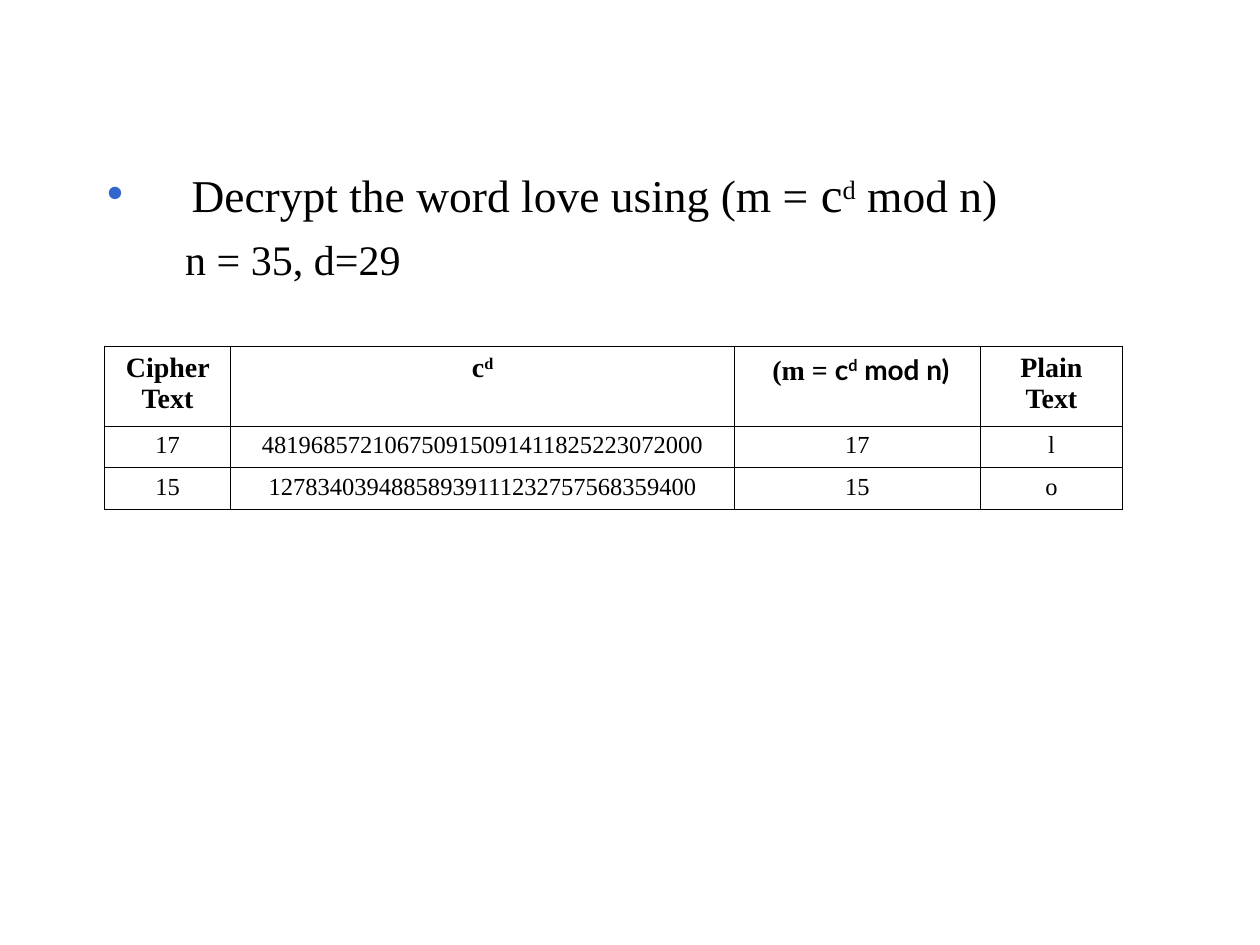
from lxml.etree import SubElement
from pptx import Presentation
from pptx.dml.color import RGBColor
from pptx.enum.text import MSO_ANCHOR, MSO_AUTO_SIZE, PP_ALIGN
from pptx.oxml.ns import qn
from pptx.util import Inches, Pt

COLORS = {"text": "000000", "bullet": "3366CC", "border": "000000"}
SERIF = "Times New Roman"


def add_text(p, text, size, font=SERIF, bold=False, superscript=False):
    r = p.add_run()
    r.text = text
    r.font.size = Pt(size)
    r.font.name = font
    r.font.bold = bold
    r.font.color.rgb = RGBColor.from_string(COLORS["text"])
    if superscript:
        r.font._element.set("baseline", "30000")


def set_border(cell, side, width):
    """Draw one side of a cell: lnL, lnR, lnT or lnB."""
    ln = SubElement(cell._tc.get_or_add_tcPr(), qn(f"a:{side}"), w=str(Pt(width)))
    fill = SubElement(ln, qn("a:solidFill"))
    SubElement(fill, qn("a:srgbClr"), val=COLORS["border"])


prs = Presentation()
prs.slide_width, prs.slide_height = Inches(10), Inches(7.5)
slide = prs.slides.add_slide(prs.slide_layouts[1])
title = slide.shapes.title
title._element.getparent().remove(title._element)

# Task statement
body = slide.placeholders[1]
body.left, body.top = Inches(0.75), Inches(1.25)
body.width, body.height = Inches(9.5), Inches(3.42)
tf = body.text_frame
tf.auto_size = MSO_AUTO_SIZE.NONE
tf.vertical_anchor = MSO_ANCHOR.TOP

p = tf.paragraphs[0]
pPr = p._p.get_or_add_pPr()
pPr.set("marL", str(Inches(0.67)))
pPr.set("indent", str(Inches(-0.67)))
bullet_color = SubElement(pPr, qn("a:buClr"))
SubElement(bullet_color, qn("a:srgbClr"), val=COLORS["bullet"])
SubElement(pPr, qn("a:buChar"), char="•")
p.space_before = Pt(0)
add_text(p, "Decrypt the word love using (m = ", 26)
add_text(p, "c", 28)
add_text(p, "d", 26, superscript=True)
add_text(p, " mod n)", 26)

p = tf.add_paragraph()
p.level = 1
pPr = p._p.get_or_add_pPr()
pPr.set("marL", str(Inches(0.62)))
pPr.set("indent", "0")
SubElement(pPr, qn("a:buNone"))
p.space_before = Pt(6)
add_text(p, "n = 35, d=29", 24)

# Decryption table: each header is a list of (text, font, superscript)
headers = [
    [("Cipher Text", SERIF, False)],
    [("c", SERIF, False), ("d", SERIF, True)],
    [(" (m = ", SERIF, False), ("c", "Lato", False), ("d", "Lato", True),
     (" mod n)", "Lato", False)],
    [("Plain Text", SERIF, False)],
]
values = [
    ["17", "481968572106750915091411825223072000", "17", "l"],
    ["15", "12783403948858939111232757568359400", "15", "o"],
]
col_widths = [1, 4, 1.95, 1.13]
row_heights = [0.63, 0.33, 0.33]

table = slide.shapes.add_table(
    len(row_heights), len(col_widths), Inches(0.83), Inches(2.75),
    Inches(sum(col_widths)), Inches(sum(row_heights))).table
table.first_row = table.horz_banding = False
for column, width in zip(table.columns, col_widths):
    column.width = Inches(width)
for row, height in zip(table.rows, row_heights):
    row.height = Inches(height)

last_col = len(col_widths) - 1
for i in range(len(row_heights)):
    for j in range(len(col_widths)):
        cell = table.cell(i, j)
        p = cell.text_frame.paragraphs[0]
        p.alignment = PP_ALIGN.CENTER
        if i == 0:
            for text, font, raised in headers[j]:
                add_text(p, text, 16, font=font, bold=True, superscript=raised)
        else:
            add_text(p, values[i - 1][j], 14)
        outer = {"lnL": j == 0, "lnR": j == last_col, "lnT": i == 0, "lnB": False}
        for side, is_outer in outer.items():
            set_border(cell, side, 1.08 if is_outer else 0.45)
        cell.fill.background()

prs.save("out.pptx")
